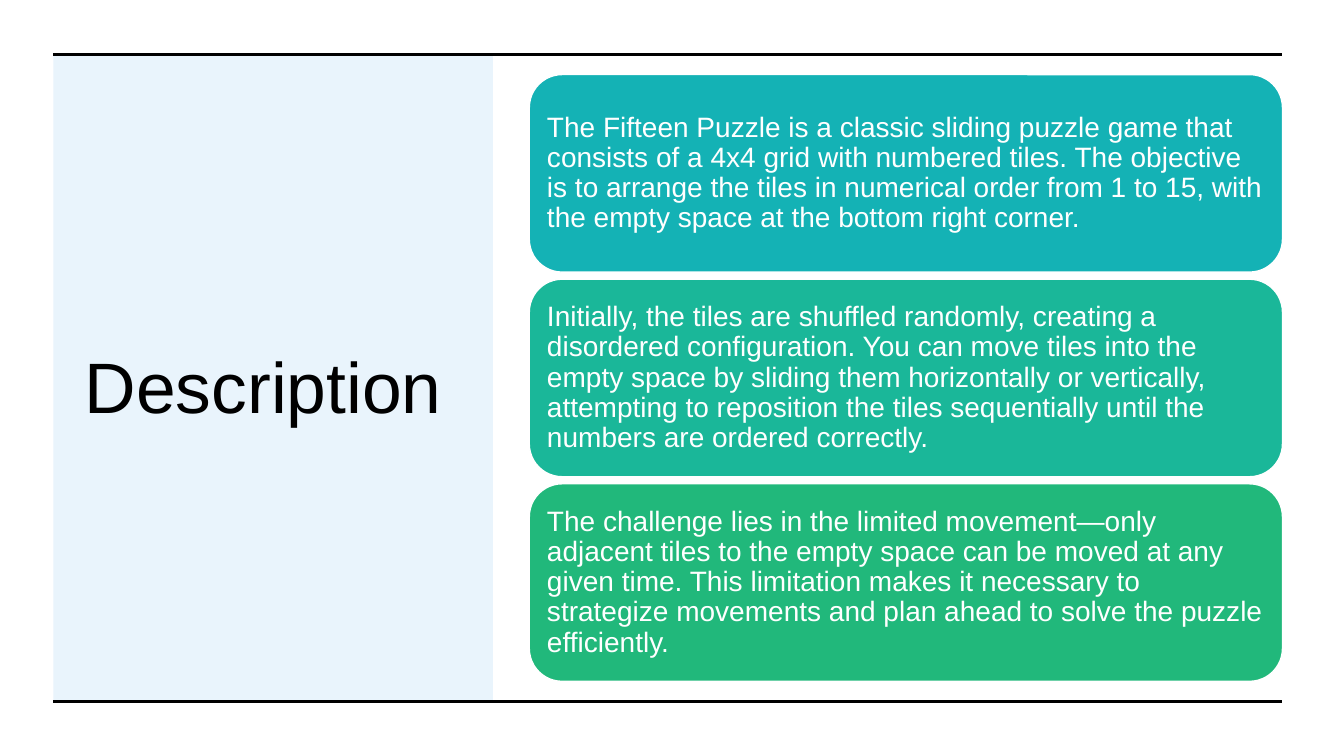
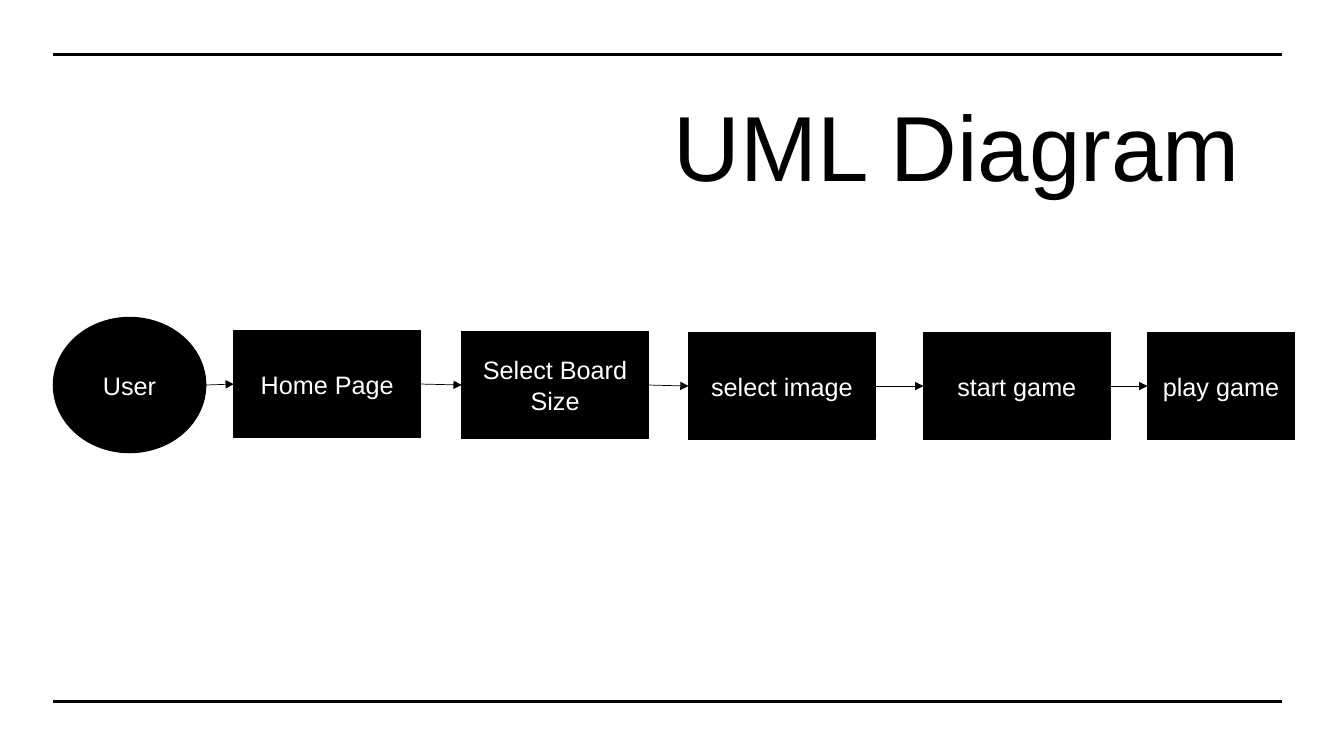
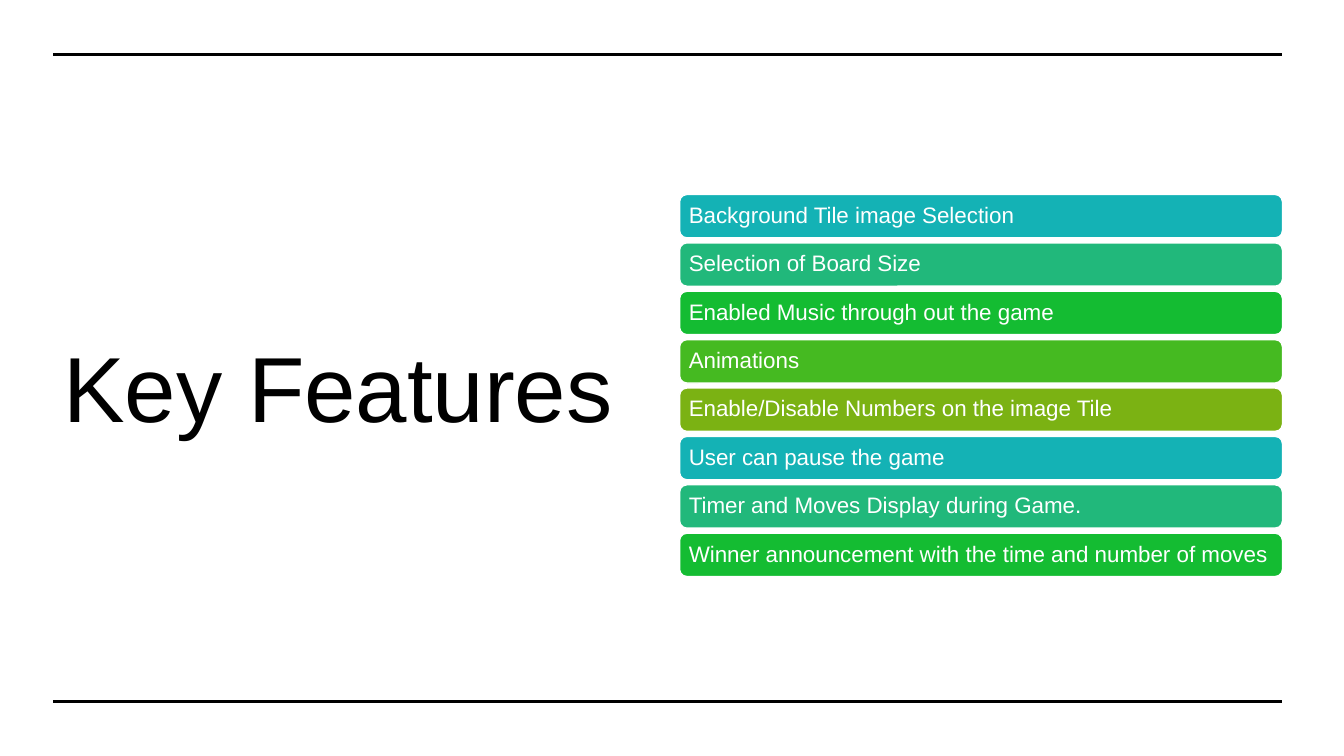
from lxml import etree
from pptx import Presentation
from pptx.dml.color import RGBColor
from pptx.enum.shapes import MSO_CONNECTOR as Connector, MSO_SHAPE as Shape
from pptx.enum.text import MSO_ANCHOR as Anchor, PP_ALIGN as Align
from pptx.oxml.ns import qn
from pptx.util import Inches, Pt


def color(value):
    return RGBColor.from_string(value)


class Style:
    font = "Arial"
    ink = "000000"
    paper = "FFFFFF"
    tint = "2995E7"
    left, right = 0.53, 12.72
    top, bottom = 0.54, 6.96

    def __init__(self, deck):
        self.deck = deck
        self.page = None

    def new_page(self):
        self.page = self.deck.slides.add_slide(self.deck.slide_layouts[6])

    def add_text(self, box, text, size, ink, anchor, align=Align.LEFT, spacing=1.0):
        frame = box.text_frame
        frame.word_wrap = True
        frame.vertical_anchor = anchor
        para = frame.paragraphs[0]
        para.alignment = align
        para.line_spacing = spacing
        span = para.add_run()
        span.text = text
        span.font.name = self.font
        span.font.size = Pt(size)
        span.font.color.rgb = color(ink)

    def shape(self, kind, place, fill, line=None):
        box = self.page.shapes.add_shape(kind, *map(Inches, place))
        box.shadow.inherit = False
        box.fill.solid()
        box.fill.fore_color.rgb = color(fill)
        if line:
            box.line.color.rgb = color(line)
            box.line.width = Pt(1)
        else:
            box.line.fill.background()
        return box

    def line(self, start, end, width):
        line = self.page.shapes.add_connector(
            Connector.STRAIGHT, *map(Inches, (*start, *end)))
        line.line.color.rgb = color(self.ink)
        line.line.width = Pt(width)
        etree.SubElement(line._element.spPr, qn("a:effectLst"))
        return line

    def title(self, text, place, size, anchor=Anchor.MIDDLE):
        box = self.page.shapes.add_textbox(*map(Inches, place))
        self.add_text(box, text, size, self.ink, anchor)
        for y in (self.top, self.bottom):
            self.line((self.left, y), (self.right, y), 2.25)

    def side_panel(self, width):
        height = self.bottom - self.top
        panel = self.shape(Shape.RECTANGLE, (self.left, self.top, width, height), self.tint)
        tone = panel._element.spPr.find(qn("a:solidFill"))[0]
        etree.SubElement(tone, qn("a:alpha"), val="10000")

    def bars(self, items, left, top, height, pitch, size, inset):
        for index, (text, fill) in enumerate(items):
            place = (left, top + index * pitch, self.right - left, height)
            bar = self.shape(Shape.ROUNDED_RECTANGLE, place, fill, self.paper)
            frame = bar.text_frame
            frame.margin_left = frame.margin_right = Inches(inset)
            frame.margin_top = frame.margin_bottom = Inches(inset)
            self.add_text(bar, text, size, self.paper, Anchor.MIDDLE, spacing=0.9)

    def node(self, kind, text, place):
        box = self.shape(kind, place, self.ink, self.ink)
        self.add_text(box, text, 18, self.paper, Anchor.MIDDLE, Align.CENTER)
        return box

    def arrow(self, start, end):
        arrow = self.line((0, 0), (1, 1), 0.5)
        if start.auto_shape_type == Shape.OVAL:
            arrow.begin_x = start.left + start.width
            arrow.begin_y = start.top + start.height // 2
        else:
            arrow.begin_connect(start, 3)
        arrow.end_connect(end, 1)
        outline = arrow._element.spPr.find(qn("a:ln"))
        etree.SubElement(outline, qn("a:tailEnd"), type="triangle")


def description(style):
    style.new_page()
    style.side_panel(4.36)
    style.title("Description", (0.74, 1.07, 3.89, 5.5), 51)
    style.bars([
        ("The Fifteen Puzzle is a classic sliding puzzle game that consists of a 4x4 grid "
         "with numbered tiles. The objective is to arrange the tiles in numerical order "
         "from 1 to 15, with the empty space at the bottom right corner.", "14B2B5"),
        ("Initially, the tiles are shuffled randomly, creating a disordered configuration. "
         "You can move tiles into the empty space by sliding them horizontally or "
         "vertically, attempting to reposition the tiles sequentially until the numbers "
         "are ordered correctly.", "1AB799"),
        ("The challenge lies in the limited movement—only adjacent tiles to the empty "
         "space can be moved at any given time. This limitation makes it necessary to "
         "strategize movements and plan ahead to solve the puzzle efficiently.", "21B87B"),
    ], left=5.25, top=0.74, height=1.96, pitch=2.03, size=20, inset=0.08)


def uml_diagram(style):
    style.new_page()
    style.title("UML Diagram", (6.58, 0.77, 6.14, 1.26), 66, Anchor.BOTTOM)
    steps = [
        ("Home Page", 2.32, 3.28, 1.85),
        ("Select Board Size", 4.58, 3.29, 1.85),
        ("select image", 6.83, 3.3, 1.85),
        ("start game", 9.16, 3.3, 1.85),
        ("play game", 11.38, 3.3, 1.46),
    ]
    nodes = [style.node(Shape.OVAL, "User", (style.left, 3.15, 1.51, 1.34))]
    for text, left, top, width in steps:
        nodes.append(style.node(Shape.RECTANGLE, text, (left, top, width, 1.06)))
    for start, end in zip(nodes, nodes[1:]):
        style.arrow(start, end)


def key_features(style):
    style.new_page()
    style.title("Key Features", (style.left, 0.95, 6.14, 5.75), 66)
    style.bars([
        ("Background Tile image Selection", "14B2B5"),
        ("Selection of Board Size", "21B87B"),
        ("Enabled Music through out the game", "14BC32"),
        ("Animations", "45BA21"),
        ("Enable/Disable Numbers on the image Tile", "7BB213"),
        ("User can pause the game", "14B2B5"),
        ("Timer and Moves Display during Game.", "21B87B"),
        ("Winner announcement with the time and number of moves", "14BC32"),
    ], left=6.74, top=1.93, height=0.43, pitch=0.48, size=16, inset=0.07)


def main():
    deck = Presentation()
    deck.slide_width = Inches(13.33)
    deck.slide_height = Inches(7.5)
    style = Style(deck)
    description(style)
    uml_diagram(style)
    key_features(style)
    deck.save("out.pptx")


if __name__ == "__main__":
    main()
